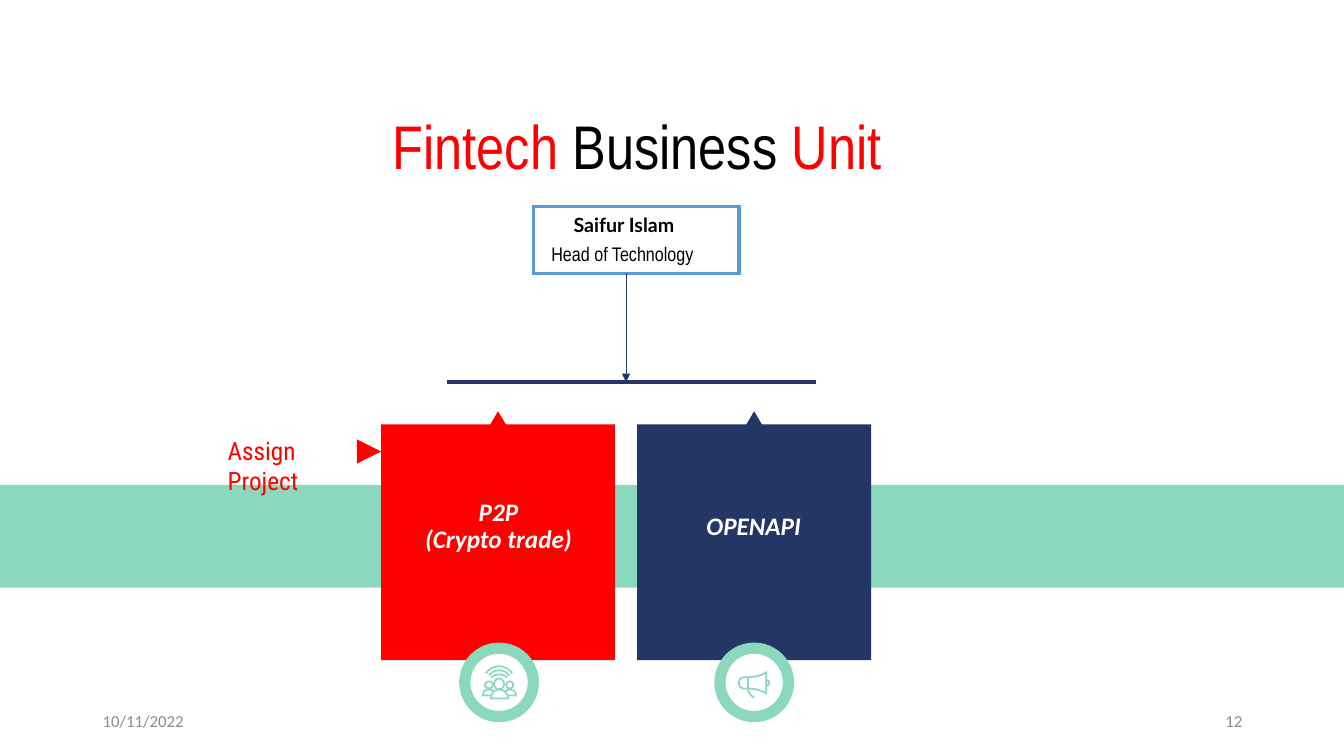
from lxml.etree import SubElement
from pptx import Presentation
from pptx.dml.color import RGBColor
from pptx.enum.shapes import MSO_CONNECTOR, MSO_SHAPE
from pptx.enum.text import MSO_ANCHOR, PP_ALIGN
from pptx.oxml.ns import qn
from pptx.util import Pt

PX = 9144  # 100 px to the inch
RED, NAVY, MINT, WHITE, BLACK = "FF0000", "243665", "8BD8BD", "FFFFFF", "000000"
BLUE, GREY = "5B9BD5", "8C8C8C"


def color(value):
    return RGBColor.from_string(value)


def emu(*lengths):
    return [length * PX for length in lengths]


def style(shape, fill=None, line=None, width=1.25):
    shape.shadow.inherit = False
    if fill:
        shape.fill.solid()
        shape.fill.fore_color.rgb = color(fill)
    else:
        shape.fill.background()
    if line:
        shape.line.color.rgb = color(line)
        shape.line.width = Pt(width)
        SubElement(shape.line._get_or_add_ln(), qn("a:miter"), lim="800000")
    else:
        shape.line.fill.background()


def add_preset(slide, kind, box, fill=None, line=None, width=1.25):
    shape = slide.shapes.add_shape(kind, *emu(*box))
    style(shape, fill, line, width)
    return shape


def add_text(slide, box, paragraphs, font, align=PP_ALIGN.LEFT,
             anchor=MSO_ANCHOR.TOP, spacing=None, inset=None):
    """Each paragraph is a list of (text, colour) runs."""
    frame = slide.shapes.add_textbox(*emu(*box)).text_frame
    frame.word_wrap = True
    frame.vertical_anchor = anchor
    if inset:
        (frame.margin_left, frame.margin_top,
         frame.margin_right, frame.margin_bottom) = emu(*inset)
    for index, runs in enumerate(paragraphs):
        paragraph = frame.add_paragraph() if index else frame.paragraphs[0]
        paragraph.alignment = align
        if spacing:
            paragraph.line_spacing = spacing
        for text, text_color in runs:
            run = paragraph.add_run()
            run.text = text
            for name, value in font.items():
                setattr(run.font, name, value)
            run.font.color.rgb = color(text_color)


def add_line(slide, start, end, width, arrow=False):
    connector = slide.shapes.add_connector(MSO_CONNECTOR.STRAIGHT, *emu(*start, *end))
    connector.line.color.rgb = color(NAVY)
    connector.line.width = Pt(width)
    if arrow:
        SubElement(connector.line._get_or_add_ln(), qn("a:tailEnd"), type="triangle")
    SubElement(connector._element.spPr, qn("a:effectLst"))


def add_stroke(slide, center, start, segments, close=False):
    """Draw an outline; pairs are lines, sixes are cubic curves."""
    points = [start]
    for segment in segments:
        points += zip(segment[::2], segment[1::2])
    placed = [emu(center[0] + x, center[1] + y) for x, y in points]
    builder = slide.shapes.build_freeform(*placed[0])
    builder.add_line_segments(placed[1:], close=close)
    shape = builder.convert_to_shape()
    style(shape, line=MINT)
    # Join each three points of a six into one curve
    steps = iter(list(shape._element.iter(qn("a:lnTo"))))
    for segment in segments:
        first = next(steps)
        if len(segment) == 6:
            first.tag = qn("a:cubicBezTo")
            for _ in range(2):
                step = next(steps)
                first.append(step[0])
                step.getparent().remove(step)


def draw_people(slide, center):
    for x, y, width, height in ((-14, -1, 8, 7), (7, -1, 7, 7), (-5, -4, 10, 11)):
        add_preset(slide, MSO_SHAPE.OVAL,
                   (center[0] + x, center[1] + y, width, height), line=MINT)
    # Shoulders
    add_stroke(slide, center, (-8, 13),
               [(-16, 13, -16, 13, -16, 13), (-16, 9, -14, 7, -10, 7),
                (-8, 7, -7, 8, -5, 9)])
    add_stroke(slide, center, (6, 9),
               [(7, 8, 9, 7, 11, 7), (14, 7, 17, 9, 17, 13), (8, 13, 8, 13, 8, 13)])
    add_stroke(slide, center, (9, 16),
               [(-8, 16, -8, 16, -8, 16), (-8, 11, -5, 7, 0, 7),
                (5, 7, 9, 11, 9, 16)], close=True)
    # Waves: outer end, end height, shoulder, shoulder height, inner, top
    for x, y, mid_x, mid_y, near_x, top in ((8, -5, 6, -7, 3, -8),
                                            (10, -7, 8, -10, 4, -12),
                                            (13, -9, 10, -13, 6, -16)):
        add_stroke(slide, center, (-x, y), [(-mid_x, mid_y, -near_x, top, 0, top),
                                            (near_x, top, mid_x, mid_y, x, y)])


def draw_megaphone(slide, center):
    # Handle, mouthpiece and horn
    add_stroke(slide, center, (-6, -5),
               [(-6, 21, -6, -21, -6, 6), (-6, 10, -4, 13, 0, 15)])
    add_stroke(slide, center, (15, 1),
               [(15, 2, 14, 3, 13, 3), (12, 3, 12, 3, 12, 3),
                (12, -2, 12, -2, 12, -2), (13, -2, 13, -2, 13, -2),
                (14, -2, 15, -1, 15, 0), (15, 1)], close=True)
    add_stroke(slide, center, (-9, -5),
               [(-11, -5, -11, -5, -11, -5), (-13, -5, -15, -3, -15, -1),
                (-15, 2, -15, 2, -15, 2), (-15, 4, -13, 6, -11, 6),
                (-9, 6, -9, 6, -9, 6), (2, 6, 7, 8, 12, 11),
                (12, -10, 12, -10, 12, -10), (7, -7, 2, -5, -9, -5)], close=True)


def draw_title(slide, box):
    add_text(slide, box, [[("Fintech", RED), (" Business ", BLACK), ("Unit", RED)]],
             {"name": "Arial Narrow", "size": Pt(44)},
             PP_ALIGN.CENTER, MSO_ANCHOR.MIDDLE, 0.9)


def draw_footer(slide, box):
    left, top, width, height = box
    for x, text, align in ((left, "10/11/2022", PP_ALIGN.LEFT),
                           (left + width - 300, "12", PP_ALIGN.RIGHT)):
        add_text(slide, (x, top, 300, height), [[(text, GREY)]],
                 {"name": "Calibri", "size": Pt(12)}, align, MSO_ANCHOR.MIDDLE)


def draw_head(slide, box):
    left, top, width, height = box
    add_preset(slide, MSO_SHAPE.RECTANGLE, box, WHITE, BLUE, 2.25)
    add_text(slide, (left + 30, top + 1, 127, 64), [[("Saifur Islam", BLACK)]],
             {"name": "Lato", "size": Pt(14), "bold": True})
    add_text(slide, (left + 8, top + 30, 169, 64), [[("Head of Technology", BLACK)]],
             {"name": "Arial Narrow", "size": Pt(14)})
    # Arrow down to the bar above the units
    bar_y = top + 174
    add_line(slide, (left - 86, bar_y), (left + 280, bar_y), 3)
    add_line(slide, (left + 92, top + height), (left + 92, bar_y), 0.5, arrow=True)


def draw_unit(slide, box, fill, lines, inset, draw_icon):
    left, top, width, height = box
    add_preset(slide, MSO_SHAPE.RECTANGLE, box, fill)
    add_preset(slide, MSO_SHAPE.ISOSCELES_TRIANGLE,
               (left + width // 2 - 10, top - 13, 20, 17), fill)
    add_text(slide, (left + inset, top + 32, 187, 140),
             [[(line, WHITE)] for line in lines],
             {"name": "Calibri", "size": Pt(18), "bold": True, "italic": True},
             PP_ALIGN.CENTER, MSO_ANCHOR.MIDDLE, 0.9, (4, 0, 4, 0))
    # Badge on the lower edge
    center = (left + inset + 94, top + height + 22)
    add_preset(slide, MSO_SHAPE.OVAL, (center[0] - 34, center[1] - 34, 68, 68),
               WHITE, MINT, 8)
    draw_icon(slide, center)


def draw_assignment(slide, box):
    left, top, width, height = box
    add_text(slide, (left, top, 140, height), [[("Assign Project", RED)]],
             {"name": "Roboto Condensed", "size": Pt(18)})
    pointer = add_preset(slide, MSO_SHAPE.ISOSCELES_TRIANGLE,
                         (left + width - 24, top + 9, 24, 24), RED)
    pointer.rotation = 90


def main():
    presentation = Presentation()
    presentation.slide_width, presentation.slide_height = emu(1333, 750)
    slide = presentation.slides.add_slide(presentation.slide_layouts[6])
    # Band across the slide
    add_preset(slide, MSO_SHAPE.RECTANGLE, (0, 481, 1333, 102), MINT)
    draw_title(slide, (57, 76, 1150, 145))
    draw_footer(slide, (92, 695, 1150, 40))
    # Business units
    units = ((RED, ["P2P", "(Crypto trade)"], 23, draw_people),
             (NAVY, ["OPENAPI"], 22, draw_megaphone))
    for index, unit in enumerate(units):
        draw_unit(slide, (378 + index * 254, 421, 232, 234), *unit)
    draw_head(slide, (529, 205, 204, 66))
    draw_assignment(slide, (216, 427, 162, 40))
    presentation.save("out.pptx")


if __name__ == "__main__":
    main()
